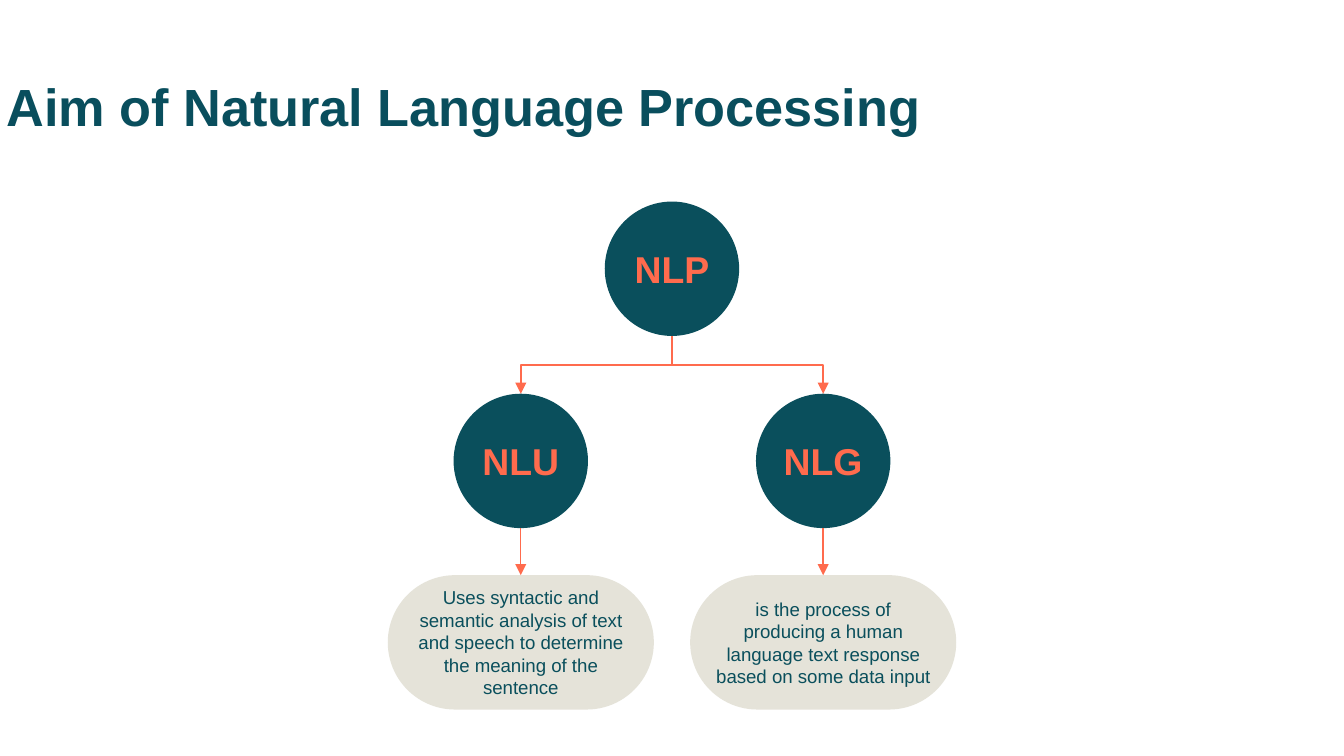
from dataclasses import dataclass

from lxml.etree import SubElement
from pptx import Presentation
from pptx.dml.color import RGBColor
from pptx.enum.shapes import MSO_CONNECTOR as Line, MSO_SHAPE as Preset
from pptx.enum.text import MSO_ANCHOR as Anchor, PP_ALIGN as Align
from pptx.oxml.ns import qn
from pptx.util import Inches, Pt

COLOURS = {"title": "094E5D", "teal": "0A4F5C", "coral": "FF6B4D", "sand": "E5E3D9"}

# The slide is ten square columns wide; places are in columns and rows.
WIDTH = Inches(10)
HEIGHT = WIDTH * 9 // 16
CELL = WIDTH // 10
CENTRE = 5
BRANCH_SHIFT = 9 / 8
NODE_SIZE = 1
NOTE_WIDTH = 1.98
ROOT_ROW, BRANCH_ROW, NOTE_ROW = 1.5, 2.93, 4.28


@dataclass
class TextStyle:
    size: float
    colour: str
    bold: bool
    align: Align
    anchor: Anchor
    side_inset: float
    end_inset: float


@dataclass
class Branch:
    label: str
    note: str
    side: int  # -1 is left of the root, 1 is right


TITLE = TextStyle(28, "title", True, Align.LEFT, Anchor.TOP, 0.05, 0.03)
NODE = TextStyle(20, "coral", True, Align.CENTER, Anchor.MIDDLE, 0.04, 0.04)
NOTE = TextStyle(10, "teal", False, Align.CENTER, Anchor.MIDDLE, 0.04, 0.04)

BRANCHES = [
    Branch("NLU", "Uses syntactic and semantic analysis of text and speech "
           "to determine the meaning of the sentence", -1),
    Branch("NLG", "is the process of producing a human language text response "
           "based on some data input", 1),
]


def cells(*counts: float) -> list[int]:
    return [round(count * CELL) for count in counts]


def rgb(name: str) -> RGBColor:
    return RGBColor.from_string(COLOURS[name])


def write(box, text: str, style: TextStyle) -> None:
    frame = box.text_frame
    frame_format = {
        "word_wrap": True,
        "vertical_anchor": style.anchor,
        "margin_left": Inches(style.side_inset),
        "margin_right": Inches(style.side_inset),
        "margin_top": Inches(style.end_inset),
        "margin_bottom": Inches(style.end_inset),
    }
    for name, value in frame_format.items():
        setattr(frame, name, value)
    para = frame.paragraphs[0]
    para.alignment = style.align
    span = para.add_run()
    span.text = text
    font_format = {"name": "Arial", "size": Pt(style.size), "bold": style.bold}
    for name, value in font_format.items():
        setattr(span.font, name, value)
    span.font.color.rgb = rgb(style.colour)


def add_filled(page, preset: Preset, middle: float, row: float, width: float,
               fill: str, text: str, style: TextStyle):
    """Add a borderless shape centred on the column position middle."""
    shape = page.shapes.add_shape(
        preset, *cells(middle - width / 2, row, width, NODE_SIZE))
    shape.shadow.inherit = False
    shape.fill.solid()
    shape.fill.fore_color.rgb = rgb(fill)
    shape.line.fill.background()
    write(shape, text, style)
    return shape


def add_arrow(page, kind: Line, ends: list[float], weight: float):
    arrow = page.shapes.add_connector(kind, *cells(*ends))
    arrow.line.color.rgb = rgb("coral")
    arrow.line.width = Pt(weight)
    SubElement(arrow.line._get_or_add_ln(), qn("a:tailEnd"), type="triangle")
    SubElement(arrow._element.spPr, qn("a:effectLst"))
    return arrow


def add_elbow(page, side: int) -> None:
    """Join root and branch; a quarter turn makes the elbow leave downwards."""
    top = ROOT_ROW + NODE_SIZE
    drop = BRANCH_ROW - top
    middle_x = CENTRE + side * BRANCH_SHIFT / 2
    middle_y = top + drop / 2
    ends = [middle_x + side * drop / 2, middle_y - BRANCH_SHIFT / 2,
            middle_x - side * drop / 2, middle_y + BRANCH_SHIFT / 2]
    elbow = add_arrow(page, Line.ELBOW, ends, 1)
    degrees = 90 if side < 0 else 270
    elbow._element.spPr.xfrm.set("rot", str(degrees * 60000))


def add_branch(page, branch: Branch) -> None:
    middle = CENTRE + branch.side * BRANCH_SHIFT
    add_filled(page, Preset.OVAL, middle, BRANCH_ROW, NODE_SIZE,
               "teal", branch.label, NODE)
    note = add_filled(page, Preset.ROUNDED_RECTANGLE, middle, NOTE_ROW, NOTE_WIDTH,
                      "sand", branch.note, NOTE)
    note.adjustments[0] = 0.5
    add_elbow(page, branch.side)
    add_arrow(page, Line.STRAIGHT,
              [middle, BRANCH_ROW + NODE_SIZE, middle, NOTE_ROW], 0.75)


def main() -> None:
    deck = Presentation()
    deck.slide_width, deck.slide_height = WIDTH, HEIGHT
    page = deck.slides.add_slide(deck.slide_layouts[6])
    title = page.shapes.add_textbox(*cells(0, 0.52, 8.49, 0.52))
    write(title, "Aim of Natural Language Processing", TITLE)
    add_filled(page, Preset.OVAL, CENTRE, ROOT_ROW, NODE_SIZE, "teal", "NLP", NODE)
    for branch in BRANCHES:
        add_branch(page, branch)
    deck.save("out.pptx")


if __name__ == "__main__":
    main()
